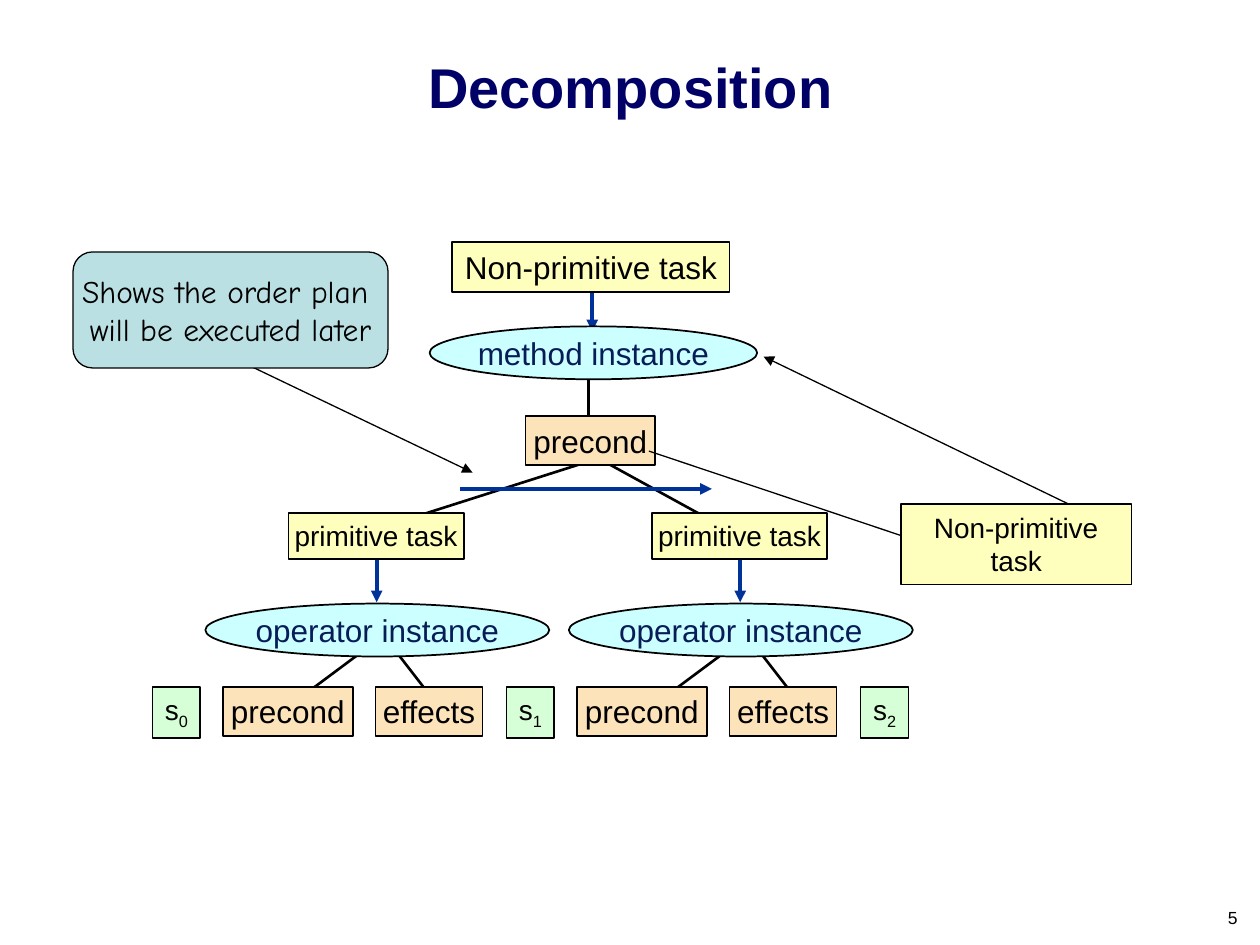
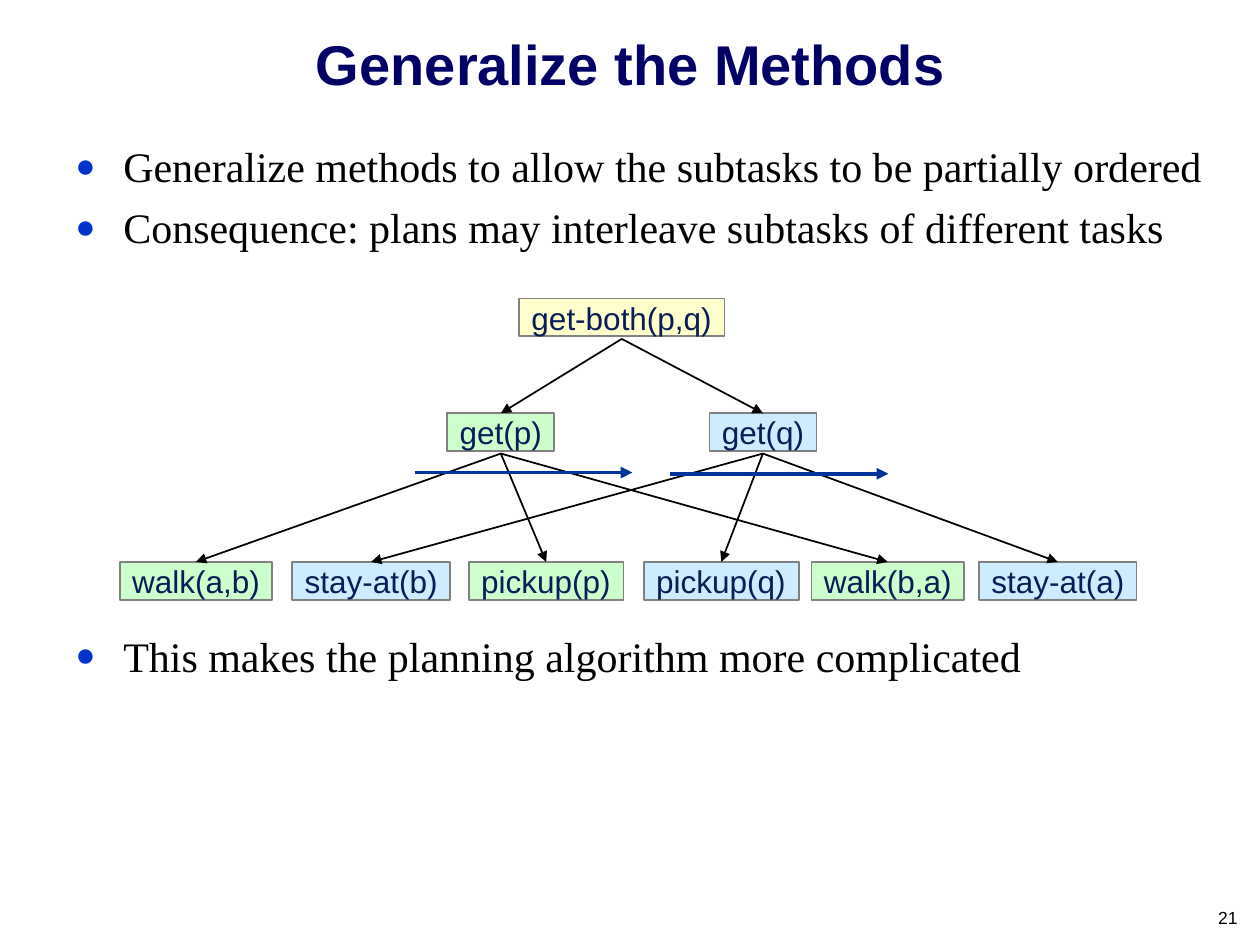
"""Build two slides on task decomposition and generalized planning methods."""
from lxml.etree import SubElement
from pptx import Presentation
from pptx.dml.color import RGBColor
from pptx.enum.shapes import MSO_CONNECTOR, MSO_SHAPE as SHAPE
from pptx.enum.text import MSO_ANCHOR as ANCHOR, PP_ALIGN as ALIGN
from pptx.oxml.ns import qn
from pptx.util import Inches, Pt

WIDTH, HEIGHT = 10, 7.5
BLACK, INK, NAVY, BLUE, BULLET = "000000", "081D58", "000066", "003399", "0033CC"
YELLOW, PEACH, AQUA, MINT, TEAL = "FFFFBD", "FDE3BA", "CCFFFF", "D7FFD7", "BBE0E3"
GREEN, SKY, CREAM, GRAY = "CCFFCC", "CCECFF", "FFFFCC", "808080"

DEFAULTS = dict(shape=SHAPE.RECTANGLE, fill=None, line=BLACK, weight=1, size=18,
                font="Arial", color=BLACK, bold=False, align=ALIGN.CENTER,
                anchor=ANCHOR.MIDDLE, insets=(0.1, 0.05), wrap=False)
SMALL = dict(size=16, anchor=ANCHOR.TOP, insets=(0.05, 0.05))
INSTANCE = dict(shape=SHAPE.OVAL, fill=AQUA, color=INK, insets=(0, 0))
STYLES = {
    "task": dict(fill=YELLOW),
    "primitive": dict(fill=YELLOW, **SMALL),
    "side task": dict(fill=YELLOW, wrap=True, **SMALL),
    "instance": INSTANCE,
    "condition": dict(fill=PEACH),
    "state": dict(fill=MINT, wrap=True, **SMALL),
    "callout": dict(shape=SHAPE.ROUNDED_RECTANGLE, fill=TEAL, weight=0.75, font="Comic Neue"),
    "step": dict(line=GRAY, color=INK, align=ALIGN.LEFT, anchor=ANCHOR.TOP, insets=(0.1, 0)),
    "title": dict(size=32, color=NAVY, bold=True, anchor=ANCHOR.BOTTOM, wrap=True),
    "number": dict(size=10, align=ALIGN.RIGHT, anchor=ANCHOR.TOP, wrap=True),
    "body": dict(size=24, font="Times New Roman", align=ALIGN.LEFT, anchor=ANCHOR.TOP, wrap=True),
}
PLAIN = dict(color=BLACK, weight=1.5)
THIN = dict(color=BLACK, weight=0.75)
THIN_ARROW = dict(THIN, arrow=True)
EDGE = dict(color=BLACK, weight=1, arrow=True)
ORDER = dict(color=BLUE, weight=2.25, arrow=True)

BRANCH_PITCH, STATE_PITCH, STATE_ROW = 2.885, 2.81, 5.45
LINKS = [
    ((4.67, 2.89), (4.67, 3.42), PLAIN),
    ((4.7, 2.28), (4.7, 2.63), ORDER),
    ((4.68, 3.66), (3.3, 4.1), PLAIN),
    ((4.79, 3.66), (5.59, 4.1), PLAIN),
    ((3.65, 3.88), (5.65, 3.88), ORDER),
]
BRANCH_LINKS = [
    ((2.93, 5.13), (2.46, 5.48), PLAIN),
    ((3.15, 5.18), (3.39, 5.49), PLAIN),
    ((2.99, 4.43), (2.99, 4.78), ORDER),
]
NODES = [
    ("task", "Non-primitive task", (3.59, 1.92, 2.2, 0.4)),
    ("condition", "precond", (4.17, 3.3, 1.03, 0.39)),
    ("instance", "method instance", (3.41, 2.59, 2.6, 0.42)),
    ("side task", "Non-primitive task", (7.15, 4, 1.83, 0.64)),
]
BRANCH_NODES = [
    ("primitive", "primitive task", (2.29, 4.07, 1.39, 0.37), BRANCH_PITCH),
    ("instance", "operator instance", (1.63, 4.79, 2.73, 0.42), BRANCH_PITCH),
    ("condition", "precond", (1.77, STATE_ROW, 1.03, 0.39), STATE_PITCH),
    ("condition", "effects", (2.98, STATE_ROW, 0.85, 0.39), STATE_PITCH),
]
STATES = ["s_0", "s_1", "s_2"]
NOTE_LINKS = [
    ((7.15, 4.25), (5.15, 3.58), THIN),
    ((8.48, 4), (6.06, 2.83), THIN_ARROW),
    ((1.83, 2.83), (3.75, 3.75), THIN_ARROW),
]
CALLOUT = "Shows the order plan \nwill be executed later"

BULLETS = [
    ("Generalize methods to allow the subtasks to be partially ordered", 0),
    ("Consequence: plans may interleave subtasks of different tasks", 6),
    ("This makes the planning algorithm more complicated", 216),
]
STEP_ROWS, STEP_HEIGHT = (2.37, 3.28, 4.46), 0.3
STEPS = {
    "get-both(p,q)": (0, 4.12, 1.63, CREAM, ["get(p)", "get(q)"]),
    "get(p)": (1, 3.55, 0.85, GREEN, ["walk(a,b)", "pickup(p)", "walk(b,a)"]),
    "get(q)": (1, 5.63, 0.85, SKY, ["stay-at(b)", "pickup(q)", "stay-at(a)"]),
    "walk(a,b)": (2, 0.95, 1.21, GREEN, []),
    "stay-at(b)": (2, 2.32, 1.25, SKY, []),
    "pickup(p)": (2, 3.72, 1.23, GREEN, []),
    "pickup(q)": (2, 5.11, 1.23, SKY, []),
    "walk(b,a)": (2, 6.44, 1.21, GREEN, []),
    "stay-at(a)": (2, 7.77, 1.25, SKY, []),
}
ORDER_ARROWS = [(3.29, 3.75), (5.32, 3.76)]
ORDER_LENGTH = 1.73


def rgb(code):
    return RGBColor.from_string(code)


def assign(target, values):
    for name, value in values.items():
        setattr(target, name, value)


def write(box, text, style):
    frame = box.text_frame
    side, edge = (Inches(inset) for inset in style["insets"])
    assign(frame, dict(word_wrap=style["wrap"], vertical_anchor=style["anchor"],
                       margin_left=side, margin_right=side, margin_top=edge, margin_bottom=edge))
    for index, line in enumerate(text.split("\n")):
        para = frame.add_paragraph() if index else frame.paragraphs[0]
        para.alignment = style["align"]
        for level, part in enumerate(line.split("_")):
            span = para.add_run()
            span.text = part
            assign(span.font, dict(size=Pt(style["size"]), name=style["font"], bold=style["bold"]))
            span.font.color.rgb = rgb(style["color"])
            if level:
                span.font._element.set("baseline", "-25000")
    return frame


def add_text(page, kind, text, place):
    box = page.shapes.add_textbox(*map(Inches, place))
    return write(box, text, {**DEFAULTS, **STYLES[kind]})


def add_node(page, kind, text, place, **changes):
    style = {**DEFAULTS, **STYLES[kind], **changes}
    box = page.shapes.add_shape(style["shape"], *map(Inches, place))
    box.shadow.inherit = False
    box.fill.solid()
    box.fill.fore_color.rgb = rgb(style["fill"])
    box.line.color.rgb = rgb(style["line"])
    box.line.width = Pt(style["weight"])
    write(box, text, style)


def add_link(page, start, end, style):
    link = page.shapes.add_connector(MSO_CONNECTOR.STRAIGHT, *map(Inches, (*start, *end)))
    link.line.color.rgb = rgb(style["color"])
    link.line.width = Pt(style["weight"])
    if style.get("arrow"):
        SubElement(link.line._get_or_add_ln(), qn("a:tailEnd"), type="triangle")
    SubElement(link._element.spPr, qn("a:effectLst"))


def add_page(deck, title, title_height, number):
    page = deck.slides.add_slide(deck.slide_layouts[6])
    add_text(page, "number", number, (9.4, 7.15, 0.52, 0.26))
    add_text(page, "title", title, (0.17, 0.11, WIDTH - 0.33, title_height))
    return page


def shifted(point, offset):
    return (point[0] + offset, *point[1:])


def build_decomposition(deck):
    page = add_page(deck, "Decomposition", 0.89, "5")
    for start, end, style in LINKS:
        add_link(page, start, end, style)
    for branch in range(2):
        offset = branch * BRANCH_PITCH
        for start, end, style in BRANCH_LINKS:
            add_link(page, shifted(start, offset), shifted(end, offset), style)
    for node in NODES:
        add_node(page, *node)
    for branch in range(2):
        for kind, text, place, pitch in BRANCH_NODES:
            add_node(page, kind, text, shifted(place, branch * pitch))
    for index, state in enumerate(STATES):
        add_node(page, "state", state, (1.21 + index * STATE_PITCH, STATE_ROW, 0.38, 0.41))
    for link in NOTE_LINKS:
        add_link(page, *link)
    add_node(page, "callout", CALLOUT, (0.58, 2, 2.5, 0.92))


def add_bullets(page):
    lines = "\n".join(text for text, gap in BULLETS)
    frame = add_text(page, "body", lines, (0.5, 1.07, 9.29, 6.26))
    for para, (text, gap) in zip(frame.paragraphs, BULLETS):
        props = para._p.get_or_add_pPr()
        props.set("marL", str(Inches(0.38)))
        props.set("indent", str(-Inches(0.38)))
        SubElement(SubElement(props, qn("a:buClr")), qn("a:srgbClr"), val=BULLET)
        SubElement(props, qn("a:buSzPct"), val="80000")
        SubElement(props, qn("a:buFont"), typeface="Times New Roman")
        SubElement(props, qn("a:buChar"), char="●")
        para.space_before = Pt(gap)


def build_generalization(deck):
    page = add_page(deck, "Generalize the Methods", 0.71, "21")
    add_bullets(page)
    for name, (row, left, width, fill, subtasks) in STEPS.items():
        add_node(page, "step", name, (left, STEP_ROWS[row], width, STEP_HEIGHT), fill=fill)
    for row, left, width, fill, subtasks in STEPS.values():
        start = (left + width / 2, STEP_ROWS[row] + STEP_HEIGHT + 0.02)
        for subtask in subtasks:
            child_row, child_left, child_width = STEPS[subtask][:3]
            add_link(page, start, (child_left + child_width / 2, STEP_ROWS[child_row]), EDGE)
    for start in ORDER_ARROWS:
        add_link(page, start, shifted(start, ORDER_LENGTH), ORDER)


def main():
    deck = Presentation()
    assign(deck, dict(slide_width=Inches(WIDTH), slide_height=Inches(HEIGHT)))
    build_decomposition(deck)
    build_generalization(deck)
    deck.save("out.pptx")


if __name__ == "__main__":
    main()
